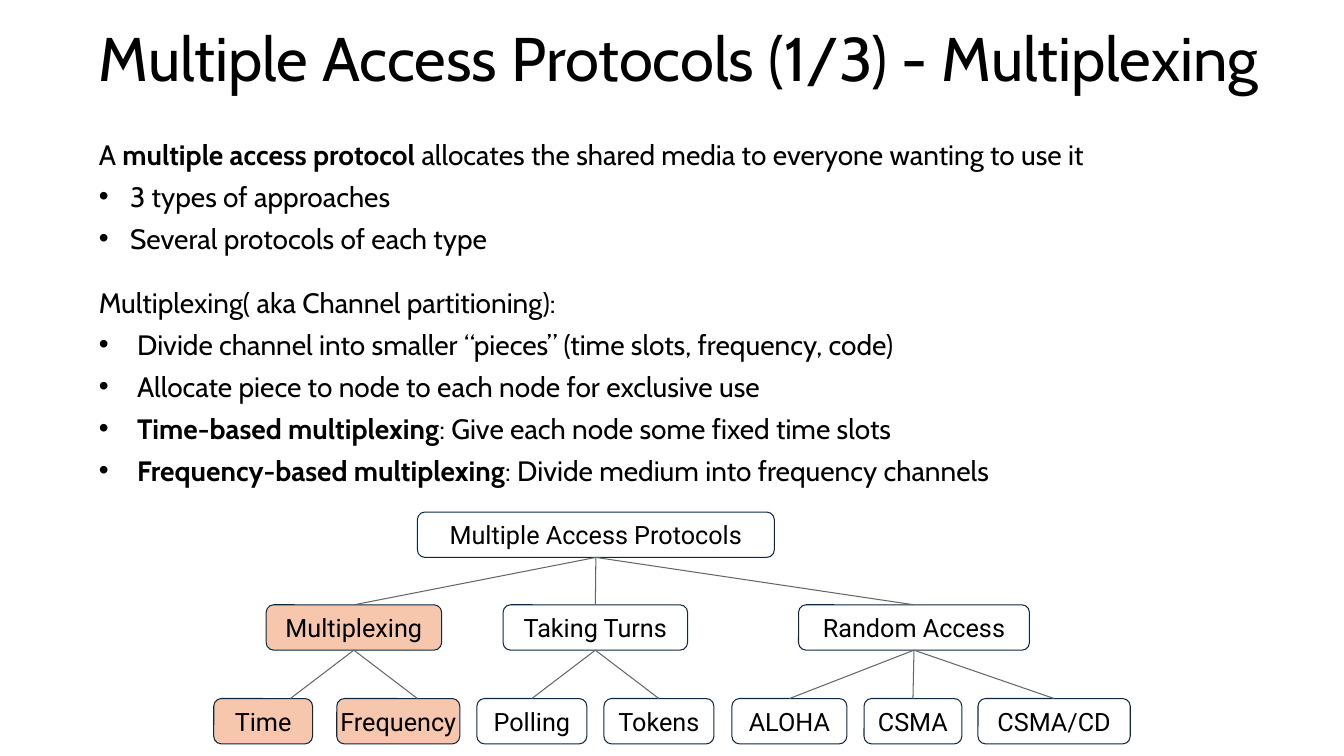
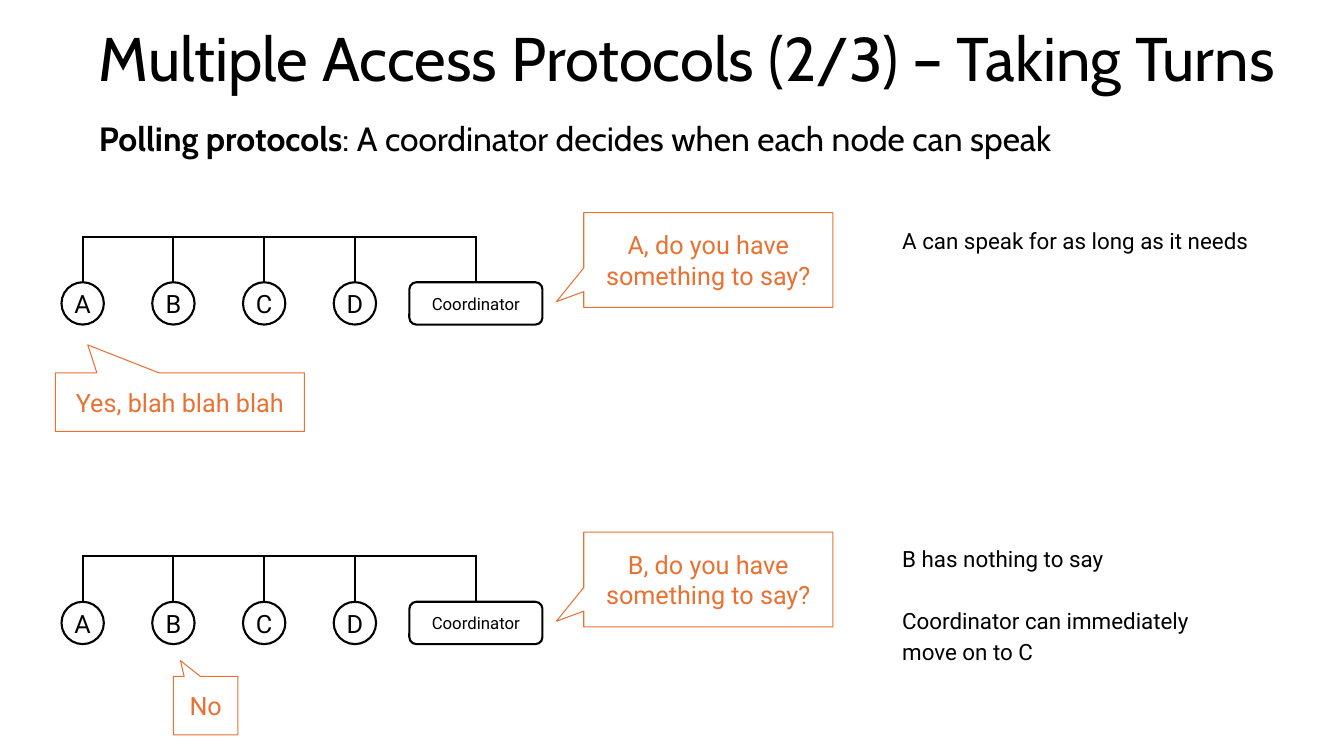
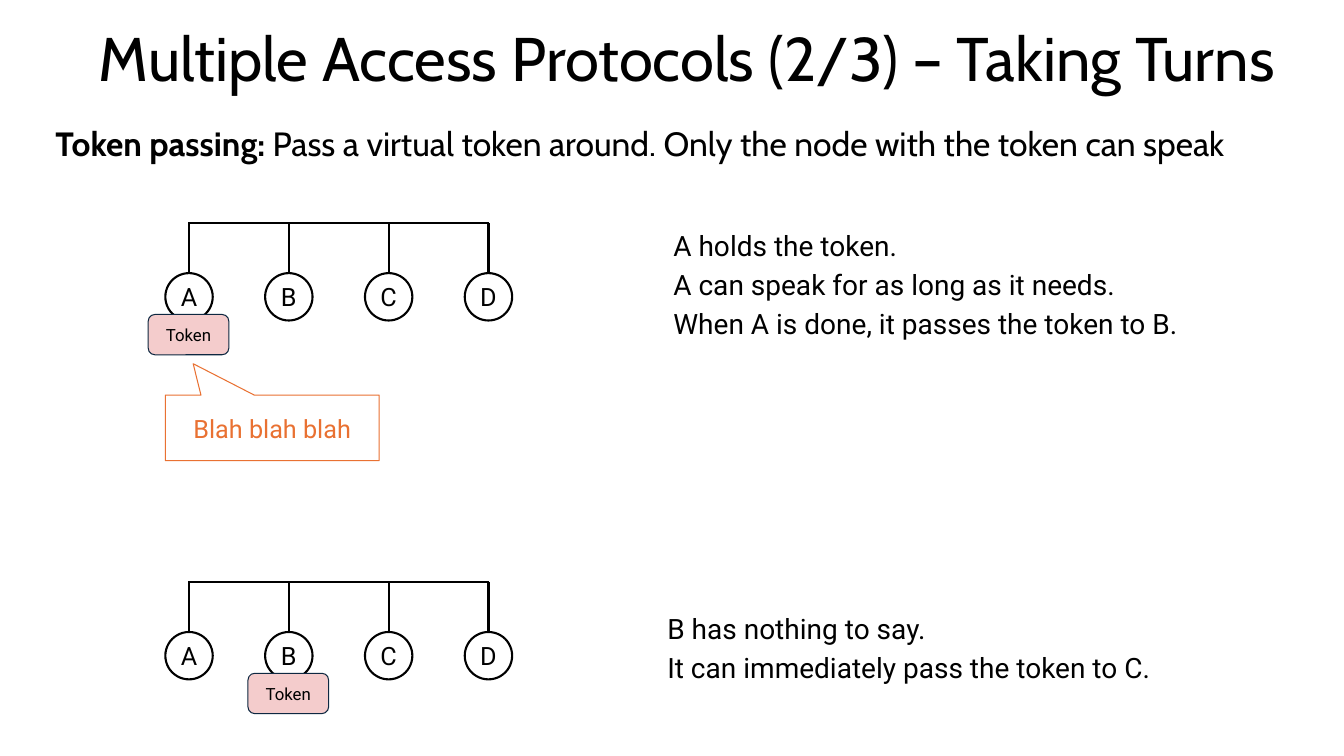
"""Build three slides on multiple access protocols."""
from dataclasses import dataclass

from lxml import etree
from pptx import Presentation
from pptx.dml.color import RGBColor
from pptx.enum.shapes import MSO_CONNECTOR as Link, MSO_SHAPE as Shape
from pptx.enum.text import MSO_ANCHOR as Anchor, MSO_AUTO_SIZE as AutoSize, PP_ALIGN as Align
from pptx.oxml.ns import qn
from pptx.util import Inches, Pt


@dataclass(frozen=True)
class Theme:
    """Hold the colours, fonts and type sizes of the deck."""
    text: str = "000000"
    paper: str = "FFFFFF"
    outline: str = "0E2841"
    branch: str = "666666"
    speech: str = "E97132"
    active: str = "F6C6AD"
    token: str = "F4CCCC"
    heading_font: str = "Cabin"
    label_font: str = "Roboto"
    title: int = 44
    lead: int = 24
    body: int = 20
    label: int = 18
    note: int = 16
    small: int = 12
    thin: float = 0.75
    thick: float = 1.5


THEME = Theme()
TITLE_BOX = (0.88, 0.21, 12.23, 0.81)
BULLET = "• "
BOTTOM_SITE, TOP_SITE = 2, 0

TREE_LEVELS = (5.08, 6.0, 6.93)
TREE_ROOT = ("Multiple Access Protocols", 4.14, 3.54)
TREE_BRANCHES = [
    (("Multiplexing", 2.64, 1.74), True,
     [("Time", 2.12, 0.98, 2.88), ("Frequency", 3.34, 1.22, 4.14)]),
    (("Taking Turns", 4.99, 1.83), False,
     [("Polling", 4.73, 1.09, None), ("Tokens", 5.99, 1.09, None)]),
    (("Random Access", 7.92, 2.29), False,
     [("ALOHA", 7.26, 1.14, None), ("CSMA", 8.57, 0.97, None), ("CSMA/CD", 9.7, 1.51, None)]),
]


def color(code):
    """Turn a hex code into a colour."""
    return RGBColor.from_string(code)


def write(frame, text, *, font=THEME.label_font, size=THEME.label, ink=THEME.text,
          align=Align.LEFT, anchor=Anchor.TOP, inset=(0.1, 0.05), spacing=1.0,
          before=0, gap=None, indent=0.31):
    """Fill a frame line by line, with ** around bold parts and a bullet sign before list items."""
    frame.word_wrap = True
    frame.auto_size = AutoSize.NONE
    frame.vertical_anchor = anchor
    frame.margin_left = frame.margin_right = Inches(inset[0])
    frame.margin_top = frame.margin_bottom = Inches(inset[1])
    for index, line in enumerate(text.split("\n")):
        paragraph = frame.add_paragraph() if index else frame.paragraphs[0]
        paragraph.alignment = align
        paragraph.line_spacing = spacing
        paragraph.space_before = Pt(gap if index and gap is not None else before)
        mark_bullet(paragraph, indent if line.startswith(BULLET) else 0)
        for part, words in enumerate(line.removeprefix(BULLET).split("**")):
            if words:
                run = paragraph.add_run()
                run.text = words
                run.font.name = font
                run.font.size = Pt(size)
                run.font.bold = part % 2 == 1
                run.font.color.rgb = color(ink)


def mark_bullet(paragraph, indent):
    """Give a paragraph a hanging bullet, or none when the indent is zero."""
    properties = paragraph._p.get_or_add_pPr()
    properties.set("marL", str(Inches(indent)))
    properties.set("indent", str(-Inches(indent)))
    if indent:
        etree.SubElement(properties, qn("a:buChar")).set("char", BULLET.strip())
    else:
        etree.SubElement(properties, qn("a:buNone"))


def place(item, box):
    """Move an item to a box given in inches."""
    item.left, item.top, item.width, item.height = map(Inches, box)


def add_slide(deck, layout, title):
    """Add a slide with its title."""
    slide = deck.slides.add_slide(deck.slide_layouts.get_by_name(layout))
    place(slide.shapes.title, TITLE_BOX)
    write(slide.shapes.title.text_frame, title, font=THEME.heading_font, size=THEME.title,
          anchor=Anchor.MIDDLE, spacing=0.9)
    return slide


def fill_body(slide, index, box, text, **style):
    """Move a body placeholder and fill it."""
    body = slide.placeholders[index]
    place(body, box)
    write(body.text_frame, text, font=THEME.heading_font, before=6, **style)


def add_lead(slide, box, text):
    """Add the line that names the protocol under the title."""
    fill_body(slide, 1, box, text, size=THEME.lead, inset=(0.1, 0.1), spacing=0.9)


def add_note(slide, box, text, **style):
    """Add an explanation beside a diagram."""
    note = slide.shapes.add_textbox(*map(Inches, box))
    write(note.text_frame, text, inset=(0.1, 0.1), spacing=1.15, **style)


def add_label(slide, kind, box, text, *, fill=None, outline=THEME.outline,
              weight=THEME.thin, **style):
    """Add an outlined shape with a centred label."""
    label = slide.shapes.add_shape(kind, *map(Inches, box))
    label.shadow.inherit = False
    if fill:
        label.fill.solid()
        label.fill.fore_color.rgb = color(fill)
    else:
        label.fill.background()
    label.line.color.rgb = color(outline)
    label.line.width = Pt(weight)
    write(label.text_frame, text, align=Align.CENTER, anchor=Anchor.MIDDLE, inset=(0, 0), **style)
    return label


def add_speech(slide, box, tip, text):
    """Add a square-cornered speech bubble with its tip relative to the centre."""
    bubble = add_label(slide, Shape.ROUNDED_RECTANGULAR_CALLOUT, box, text,
                       outline=THEME.speech, ink=THEME.speech)
    for index, value in enumerate((*tip, 0)):
        bubble.adjustments[index] = value


def add_line(slide, start, end, ink=THEME.text, weight=THEME.thick):
    """Add a straight line between two points in inches."""
    line = slide.shapes.add_connector(Link.STRAIGHT, *map(Inches, (*start, *end)))
    line.line.color.rgb = color(ink)
    line.line.width = Pt(weight)
    etree.SubElement(line._element.spPr, qn("a:effectLst"))
    return line


def add_branch(slide, parent, child, landing=None):
    """Join a parent to its child, at the landing position if one is given."""
    center = child.left + child.width // 2
    target = landing if landing is not None else center / Inches(1)
    top = child.top / Inches(1)
    branch = add_line(slide, (target, top), (target, top), THEME.branch, THEME.thin)
    branch.begin_connect(parent, BOTTOM_SITE)
    if landing is None:
        branch.end_connect(child, TOP_SITE)


def add_tree_node(slide, level, name, left, width, active=False):
    """Add one box of the protocol tree."""
    return add_label(slide, Shape.ROUNDED_RECTANGLE, (left, TREE_LEVELS[level], width, 0.45),
                     name, fill=THEME.active if active else None)


def add_tree(slide):
    """Add the tree of protocol families."""
    root = add_tree_node(slide, 0, *TREE_ROOT)
    for family_box, active, protocols in TREE_BRANCHES:
        family = add_tree_node(slide, 1, *family_box, active)
        add_branch(slide, root, family)
        for name, left, width, landing in protocols:
            protocol = add_tree_node(slide, 2, name, left, width, active)
            add_branch(slide, family, protocol, landing)


def add_bus(slide, left, top, *, size, pitch, drop, coordinator=False):
    """Add nodes A to D, and a coordinator if wanted, hanging from a shared rail."""
    stations = [(Shape.OVAL, (left + pitch * step, top, size, size), name, THEME.label)
                for step, name in enumerate("ABCD")]
    if coordinator:
        stations.append((Shape.ROUNDED_RECTANGLE, (left + 3.45, top, 1.32, size),
                         "Coordinator", THEME.small))
    rail = top - drop
    centers = [box[0] + box[2] / 2 for _, box, _, _ in stations]
    for (kind, box, name, type_size), center in zip(stations, centers):
        station = add_label(slide, kind, box, name, fill=THEME.paper, outline=THEME.text,
                            weight=THEME.thick, size=type_size)
        add_line(slide, (center, top), (center, rail)).begin_connect(station, TOP_SITE)
    add_line(slide, (centers[0] - 0.01, rail), (centers[-1] + 0.01, rail))


def add_token(slide, left, top):
    """Add the token below the node that holds it."""
    add_label(slide, Shape.ROUNDED_RECTANGLE, (left, top, 0.8, 0.4), "Token",
              fill=THEME.token, size=THEME.small)


def build_multiplexing(deck):
    """Build the slide on multiplexing."""
    slide = add_slide(deck, "Two Content", "Multiple Access Protocols (1/3) - Multiplexing")
    fill_body(slide, 1, (0.88, 1.31, 10.4, 1.28),
              "A **multiple access protocol** allocates the shared media to everyone wanting to use it\n"
              "• 3 types of approaches\n"
              "• Several protocols of each type", size=THEME.body)
    fill_body(slide, 2, (0.88, 2.78, 9.94, 2.12),
              "Multiplexing( aka Channel partitioning):\n"
              "• Divide channel into smaller “pieces” (time slots, frequency, code)\n"
              "• Allocate piece to node to each node for exclusive use\n"
              "• **Time-based multiplexing**: Give each node some fixed time slots\n"
              "• **Frequency-based multiplexing**: Divide medium into frequency channels",
              size=THEME.body, indent=0.38)
    add_tree(slide)


def build_polling(deck):
    """Build the slide on polling."""
    slide = add_slide(deck, "Title and Content", "Multiple Access Protocols (2/3) – Taking Turns")
    add_lead(slide, (0.88, 1.11, 10.86, 0.7),
             "**Polling protocols**: A coordinator decides when each node can speak")
    for name, top in (("A", 2.8), ("B", 5.97)):
        add_bus(slide, 0.61, top, size=0.42, pitch=0.9, drop=0.45, coordinator=True)
        add_speech(slide, (5.79, top - 0.69, 2.47, 0.94), (-0.61, 0.44),
                   f"{name}, do you have something to say?")
    add_speech(slide, (0.55, 3.7, 2.47, 0.58), (-0.37, -0.98), "Yes, blah blah blah")
    add_speech(slide, (1.72, 6.71, 0.64, 0.58), (-0.39, -0.77), "No")
    add_note(slide, (8.85, 2.11, 3.77, 0.51), "A can speak for as long as it needs", size=THEME.note)
    add_note(slide, (8.85, 5.27, 3.25, 1.44),
             "B has nothing to say\nCoordinator can immediately move on to C",
             size=THEME.note, gap=22)


def build_token_passing(deck):
    """Build the slide on token passing."""
    slide = add_slide(deck, "Title and Content", "Multiple Access Protocols (2/3) – Taking Turns")
    add_lead(slide, (0.45, 1.16, 12.42, 0.7),
             "**Token passing:** Pass a virtual token around. Only the node with the token can speak")
    for top, token_left in ((2.71, 1.47), (6.27, 2.46)):
        add_bus(slide, 1.64, top, size=0.47, pitch=0.99, drop=0.5)
        add_token(slide, token_left, top + 0.41)
    add_speech(slide, (1.64, 3.92, 2.12, 0.65), (-0.37, -0.98), "Blah blah blah")
    add_note(slide, (6.58, 2.12, 5.29, 1.36),
             "A holds the token.\nA can speak for as long as it needs.\n"
             "When A is done, it passes the token to B.", size=THEME.body)
    add_note(slide, (6.52, 5.92, 5.04, 0.98),
             "B has nothing to say.\nIt can immediately pass the token to C.", size=THEME.body)


def main():
    """Build and save the deck."""
    deck = Presentation()
    deck.slide_width, deck.slide_height = Inches(13.33), Inches(7.5)
    build_multiplexing(deck)
    build_polling(deck)
    build_token_passing(deck)
    deck.save("out.pptx")


if __name__ == "__main__":
    main()
